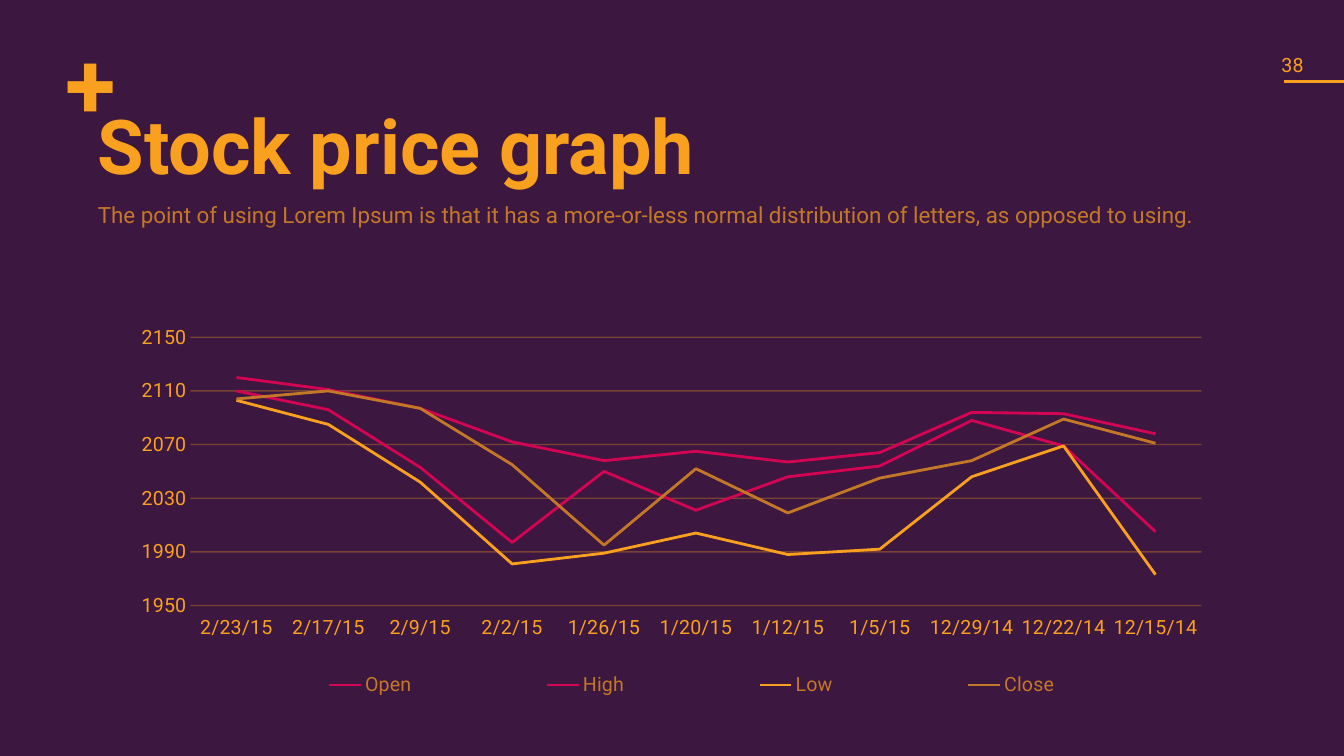
"""Build the stock price graph slide."""
import pptx
import pptx.chart.data
import pptx.dml.color
import pptx.enum.chart
import pptx.enum.shapes
import pptx.enum.text
import pptx.oxml
import pptx.oxml.ns
import pptx.util

WIDTH, HEIGHT = 13.33, 7.5
FONT = "Roboto"
COLORS = {"ground": "3C1740", "gold": "F9A01E", "bronze": "C37827", "pink": "D30553"}

TITLE = "Stock price graph"
SUBTITLE = ("The point of using Lorem Ipsum is that it has a more-or-less normal "
            "distribution of letters, as opposed to using.")
PAGE_NUMBER = "38"
DATES = ["2/23/15", "2/17/15", "2/9/15", "2/2/15", "1/26/15", "1/20/15",
         "1/12/15", "1/5/15", "12/29/14", "12/22/14", "12/15/14"]
PRICES = [
    ("Open", "pink", [2110, 2096, 2053, 1997, 2050, 2021, 2046, 2054, 2088, 2069, 2005]),
    ("High", "pink", [2120, 2111, 2097, 2072, 2058, 2065, 2057, 2064, 2094, 2093, 2078]),
    ("Low", "gold", [2103, 2085, 2042, 1981, 1989, 2004, 1988, 1992, 2046, 2069, 1973]),
    ("Close", "bronze", [2104, 2110, 2097, 2055, 1995, 2052, 2019, 2045, 2058, 2089, 2071]),
]

LEFT, COLUMN = 0.92, 11.5
PLOT_SHARES = (0.057, 0.061, 0.938, 0.686)
LEGEND_SHARES = (0.066, 0.9, 0.912, 0.1)


def inches(*lengths):
    """Turn numbers into inch lengths."""
    return [pptx.util.Inches(length) for length in lengths]


def color(name):
    """Return a palette colour."""
    return pptx.dml.color.RGBColor.from_string(COLORS[name])


def style(font, size, name):
    """Set typeface, size and colour of a font."""
    font.name, font.size = FONT, pptx.util.Pt(size)
    font.color.rgb = color(name)


def write(box, text, place, size, name="gold", bold=False, spacing=1.0,
          inset=0.05, wrap=True, anchor=pptx.enum.text.MSO_ANCHOR.TOP):
    """Place a box and fill it with one formatted line."""
    box.left, box.top, box.width, box.height = inches(*place)
    frame = box.text_frame
    frame.word_wrap, frame.vertical_anchor = wrap, anchor
    frame.auto_size = pptx.enum.text.MSO_AUTO_SIZE.NONE
    frame.margin_left = frame.margin_right = pptx.util.Inches(inset)
    frame.margin_top = frame.margin_bottom = pptx.util.Inches(inset)
    para = frame.paragraphs[0]
    para.alignment = pptx.enum.text.PP_ALIGN.LEFT
    para.line_spacing = spacing
    span = para.add_run()
    span.text = text
    style(span.font, size, name)
    span.font.bold = bold


def add_layout(shares, inner=False):
    """Return a manual chart layout from shares of the chart's size."""
    target = '<c:layoutTarget val="inner"/>' if inner else ""
    modes = "".join(f'<c:{side}Mode val="edge"/>' for side in "xy")
    sizes = "".join(f'<c:{side} val="{share}"/>' for side, share in zip("xywh", shares))
    return pptx.oxml.parse_xml(
        f'<c:layout {pptx.oxml.ns.nsdecls("c")}><c:manualLayout>'
        f"{target}{modes}{sizes}</c:manualLayout></c:layout>")


def set_layout(element, layout, position):
    """Put a layout into a chart element in place of any present one."""
    for old in element.findall(pptx.oxml.ns.qn("c:layout")):
        element.remove(old)
    element.insert(position, layout)


def add_price_chart(page):
    """Add the line chart of prices."""
    data = pptx.chart.data.CategoryChartData()
    data.categories = DATES
    for name, _, values in PRICES:
        data.add_series(name, values)
    chart = page.shapes.add_chart(
        pptx.enum.chart.XL_CHART_TYPE.LINE, *inches(1.28, 3.11, 10.69, 3.88), data).chart
    chart.has_title = False
    style(chart.font, 14, "gold")
    chart.plots[0].vary_by_categories = False
    for series, (_, name, _) in zip(chart.plots[0].series, PRICES):
        series.smooth = False
        series.marker.style = pptx.enum.chart.XL_MARKER_STYLE.NONE
        series.format.line.color.rgb = color(name)
        series.format.line.width = pptx.util.Pt(2)

    prices = chart.value_axis
    for axis in (chart.category_axis, prices):
        axis.major_tick_mark = axis.minor_tick_mark = pptx.enum.chart.XL_TICK_MARK.NONE
        axis.format.line.fill.background()
        style(axis.tick_labels.font, 14, "gold")
    chart.category_axis.tick_label_position = pptx.enum.chart.XL_TICK_LABEL_POSITION.LOW
    prices.minimum_scale, prices.maximum_scale, prices.major_unit = 1950, 2150, 40
    prices.tick_labels.number_format = "0"
    prices.tick_labels.number_format_is_linked = False
    prices.has_major_gridlines = True
    grid = prices.major_gridlines.format.line
    grid.color.rgb, grid.width = color("bronze"), pptx.util.Pt(1)
    shade = prices.major_gridlines._xAx.find(
        ".//" + pptx.oxml.ns.qn("c:majorGridlines")).find(".//" + pptx.oxml.ns.qn("a:srgbClr"))
    shade.append(pptx.oxml.parse_xml(f'<a:alpha {pptx.oxml.ns.nsdecls("a")} val="45000"/>'))

    chart.has_legend = True
    legend = chart.legend
    legend.position = pptx.enum.chart.XL_LEGEND_POSITION.BOTTOM
    legend.include_in_layout = True
    style(legend.font, 14, "bronze")
    set_layout(legend._element, add_layout(LEGEND_SHARES), 1)
    set_layout(chart._chartSpace.chart.plotArea, add_layout(PLOT_SHARES, inner=True), 0)


def main():
    """Assemble and save the deck."""
    deck = pptx.Presentation()
    deck.slide_width, deck.slide_height = inches(WIDTH, HEIGHT)
    page = deck.slides.add_slide(deck.slide_layouts[5])
    page.background.fill.solid()
    page.background.fill.fore_color.rgb = color("ground")

    def new_box():
        return page.shapes.add_textbox(0, 0, 0, 0)

    write(new_box(), "+", (0.6, 0.42, 0.61, 1.17), 66, bold=True, spacing=0.8, wrap=False)
    rule = page.shapes.add_connector(
        pptx.enum.shapes.MSO_CONNECTOR.STRAIGHT, *inches(WIDTH - 0.6, 0.81, WIDTH, 0.81))
    rule.line.color.rgb, rule.line.width = color("gold"), pptx.util.Pt(2)
    rule._element.spPr.append(
        pptx.oxml.parse_xml(f'<a:effectLst {pptx.oxml.ns.nsdecls("a")}/>'))
    write(new_box(), PAGE_NUMBER, (12.64, 0.46, 0.36, 0.37), 14, inset=0.07, wrap=False,
          anchor=pptx.enum.text.MSO_ANCHOR.MIDDLE)
    write(page.shapes.title, TITLE, (LEFT, 1.14, COLUMN, 0.97), 54, bold=True, spacing=0.75)
    write(new_box(), SUBTITLE, (LEFT, 2.04, COLUMN, 0.62), 16, name="bronze", spacing=0.6)
    add_price_chart(page)
    deck.save("out.pptx")


if __name__ == "__main__":
    main()
